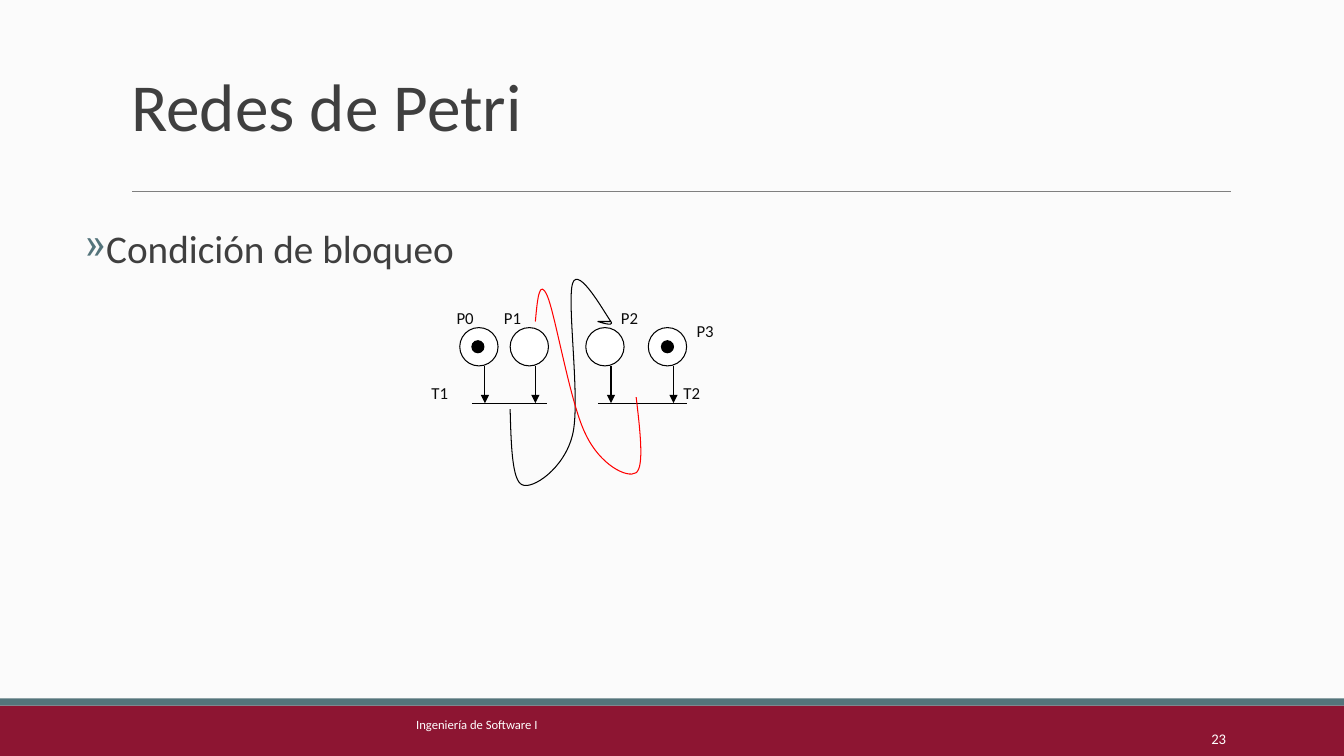
from dataclasses import dataclass, field

from lxml import etree
from pptx import Presentation
from pptx.dml.color import RGBColor
from pptx.enum import shapes, text
from pptx.oxml import ns
from pptx.util import Inches, Pt

COLORS = {
    "background": "FBFBFB", "band": "8D1532", "accent": "54747B", "rule": "7F7F7F",
    "heading": "3F3F3F", "label": "0C0C0C", "black": "000000", "white": "FFFFFF", "red": "FF0000",
}
FRAME_FORMAT = {
    "word_wrap": True, "auto_size": text.MSO_AUTO_SIZE.NONE,
    "margin_left": Inches(0.1), "margin_right": Inches(0.1),
    "margin_top": Inches(0.05), "margin_bottom": Inches(0.05),
}
PLACE_SIZE, TOKEN_SIZE = 0.38, 0.12
PLACE_TOP, BAR_TOP = 3.25, 4
Point = tuple[float, float]


@dataclass
class Caption:
    content: str
    left: float
    top: float
    width: float = 0.38
    height: float = 0.38
    size: float = 12
    color: str = "label"
    anchor: text.MSO_ANCHOR = text.MSO_ANCHOR.TOP
    paragraph_format: dict = field(default_factory=dict)


@dataclass
class Line:
    start: Point
    end: Point
    color: str = "black"
    arrow: bool = False


@dataclass
class Curve:
    color: str
    start: Point
    segments: list[tuple[Point, Point, Point]]


TITLE = Caption("Redes de Petri", 1.2, 0.31, 11, 1.59, 48, "heading", text.MSO_ANCHOR.MIDDLE,
                {"line_spacing": 0.85, "alignment": text.PP_ALIGN.LEFT})
BODY = Caption("Condición de bloqueo", 0.74, 2.25, 11.76, 4.12, 28, "heading",
               paragraph_format={"line_spacing": 0.85})
CAPTIONS = [
    Caption("Ingeniería de Software I", 4.03, 7.06, 5.27, 0.4, 9, "white"),
    Caption("23", 10.83, 7.06, 1.43, 0.4, 10.5, "white", text.MSO_ANCHOR.BOTTOM,
            {"alignment": text.PP_ALIGN.RIGHT}),
    Caption("P0", 4.43, 3), Caption("P1", 4.9, 3), Caption("P2", 6.06, 3),
    Caption("P3", 6.81, 3.13), Caption("T1", 4.18, 3.75), Caption("T2", 6.68, 3.75),
]
PLACES = [4.56, 5.06, 5.81, 6.43]
TOKENS = [4.68, 6.56]
LINES = [
    Line((1.31, 1.9), (12.21, 1.9), "rule"),
    *[Line((left + 0.25, PLACE_TOP + PLACE_SIZE), (left + 0.25, BAR_TOP), arrow=True) for left in PLACES],
    Line((4.68, BAR_TOP), (5.43, BAR_TOP)),
    Line((5.93, BAR_TOP), (6.81, BAR_TOP)),
]
CURVES = [
    Curve("black", (5.06, 4.06), [
        ((5.07, 4.42), (5.08, 4.77), (5.18, 4.81)),
        ((5.28, 4.86), (5.6, 4.65), (5.68, 4.31)),
        ((5.76, 3.98), (5.62, 3), (5.68, 2.81)),
        ((5.74, 2.63), (6.01, 3.13), (6.06, 3.19)),
        ((6.1, 3.25), (5.93, 3.19), (5.93, 3.19)),
        ((5.93, 3.19), (5.99, 3.19), (6.06, 3.19)),
    ]),
    Curve("red", (6.31, 3.94), [
        ((6.35, 4.28), (6.39, 4.63), (6.31, 4.69)),
        ((6.22, 4.75), (5.95, 4.61), (5.81, 4.31)),
        ((5.66, 4.02), (5.51, 3.13), (5.43, 2.94)),
        ((5.35, 2.75), (5.33, 2.97), (5.31, 3.19)),
    ]),
]


def rgb(name: str) -> RGBColor:
    """Return the named colour."""
    return RGBColor.from_string(COLORS[name])


def apply_format(target, values: dict) -> None:
    """Set every attribute in values on the target."""
    for name, value in values.items():
        setattr(target, name, value)


def set_line(line, color: str) -> None:
    """Give a line its colour and the common width."""
    line.color.rgb = rgb(color)
    line.width = Pt(0.75)


def write_caption(shape, caption: Caption) -> None:
    """Place a text shape and format its single paragraph."""
    apply_format(shape, {name: Inches(getattr(caption, name)) for name in ("left", "top", "width", "height")})
    frame = shape.text_frame
    apply_format(frame, FRAME_FORMAT | {"vertical_anchor": caption.anchor})
    paragraph = frame.paragraphs[0]
    apply_format(paragraph, caption.paragraph_format)
    run = paragraph.add_run()
    run.text = caption.content
    apply_format(run.font, {"name": "Calibri", "size": Pt(caption.size)})
    run.font.color.rgb = rgb(caption.color)


def add_caption(slide, caption: Caption):
    """Add a text box for a caption."""
    shape = slide.shapes.add_textbox(0, 0, 0, 0)
    write_caption(shape, caption)
    return shape


def add_bullet(paragraph, character: str, color: str) -> None:
    """Put a coloured bullet character before a paragraph."""
    properties = paragraph._p.get_or_add_pPr()
    properties.set("marL", str(Inches(0.07)))
    properties.set("indent", str(Inches(-0.19)))
    bullet_color = etree.SubElement(properties, ns.qn("a:buClr"))
    etree.SubElement(bullet_color, ns.qn("a:srgbClr"), val=COLORS[color])
    etree.SubElement(properties, ns.qn("a:buChar"), char=character)


def add_solid(slide, kind: shapes.MSO_SHAPE, box: tuple, fill: str, line: str | None = None) -> None:
    """Add a filled preset shape with an optional outline."""
    shape = slide.shapes.add_shape(kind, *map(Inches, box))
    shape.shadow.inherit = False
    shape.fill.solid()
    shape.fill.fore_color.rgb = rgb(fill)
    if line:
        set_line(shape.line, line)
    else:
        shape.line.fill.background()


def add_line(slide, line: Line) -> None:
    """Add a straight line, with an arrowhead if asked."""
    connector = slide.shapes.add_connector(
        shapes.MSO_CONNECTOR.STRAIGHT, *map(Inches, (*line.start, *line.end)))
    set_line(connector.line, line.color)
    properties = connector._element.spPr
    if line.arrow:
        etree.SubElement(properties.find(ns.qn("a:ln")), ns.qn("a:tailEnd"), type="triangle")
    etree.SubElement(properties, ns.qn("a:effectLst"))


def add_curve(slide, curve: Curve) -> None:
    """Add an open, unfilled curve of cubic Bézier segments."""
    points = [(Inches(x), Inches(y)) for segment in curve.segments for x, y in segment]
    builder = slide.shapes.build_freeform(*map(Inches, curve.start))
    builder.add_line_segments(points, close=False)
    shape = builder.convert_to_shape()
    steps = list(shape._element.iter(ns.qn("a:lnTo")))
    outline = steps[0].getparent()
    for first in range(0, len(steps), 3):
        bezier = etree.SubElement(outline, ns.qn("a:cubicBezTo"))
        for step in steps[first:first + 3]:
            bezier.append(step[0])
            outline.remove(step)
    shape.shadow.inherit = False
    shape.fill.background()
    set_line(shape.line, curve.color)


def main() -> None:
    """Build the slide and save it."""
    presentation = Presentation()
    apply_format(presentation, {"slide_width": Inches(13.33), "slide_height": Inches(7.5)})
    slide = presentation.slides.add_slide(presentation.slide_layouts[5])
    slide.background.fill.solid()
    slide.background.fill.fore_color.rgb = rgb("background")
    add_solid(slide, shapes.MSO_SHAPE.RECTANGLE, (0, 7, 13.33, 0.5), "band")
    add_solid(slide, shapes.MSO_SHAPE.RECTANGLE, (0, 6.93, 13.33, 0.07), "accent")
    write_caption(slide.shapes.title, TITLE)
    body = add_caption(slide, BODY)
    add_bullet(body.text_frame.paragraphs[0], "»", "accent")
    for left in PLACES:
        add_solid(slide, shapes.MSO_SHAPE.OVAL, (left, PLACE_TOP, PLACE_SIZE, PLACE_SIZE), "white", "black")
    for line in LINES:
        add_line(slide, line)
    for curve in CURVES:
        add_curve(slide, curve)
    for left in TOKENS:
        add_solid(slide, shapes.MSO_SHAPE.OVAL, (left, 3.38, TOKEN_SIZE, TOKEN_SIZE), "black", "black")
    for caption in CAPTIONS:
        add_caption(slide, caption)
    presentation.save("out.pptx")


if __name__ == "__main__":
    main()
